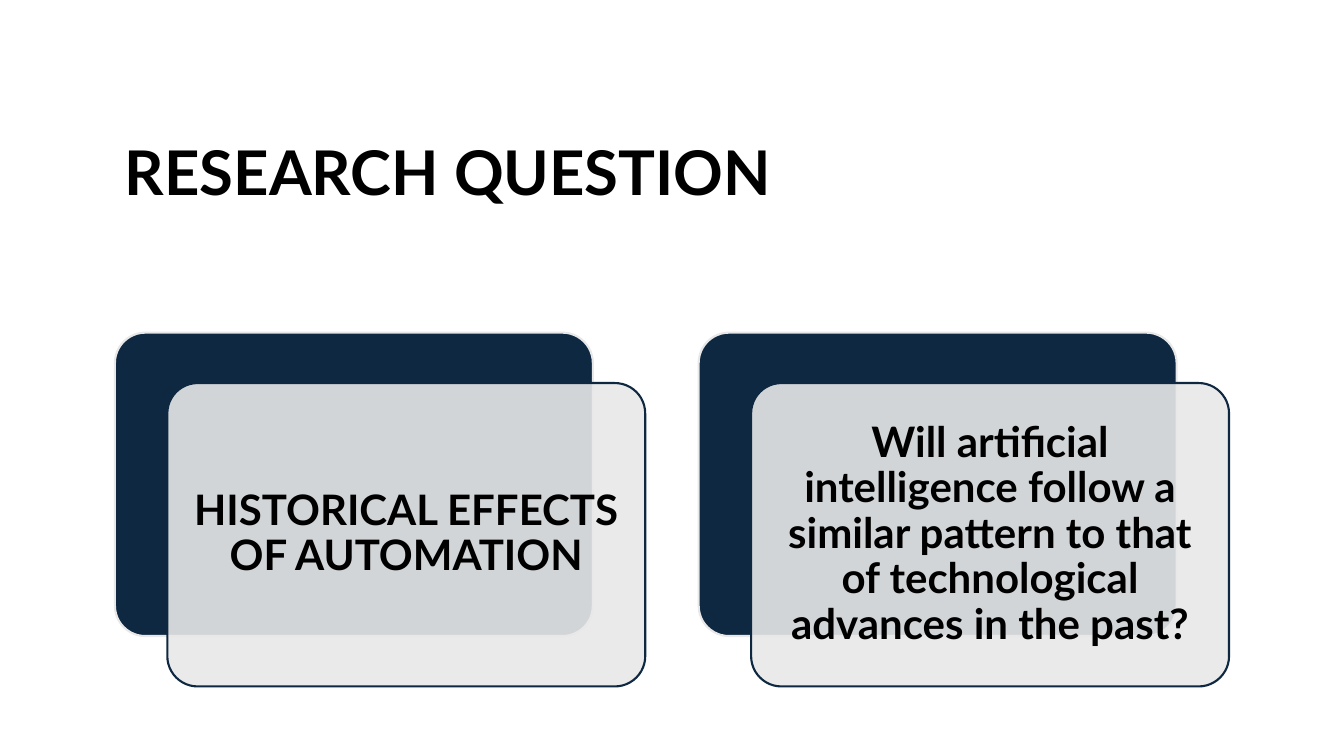
"""Build the research question slide with two layered cards."""
import dataclasses

import lxml.etree
import pptx
import pptx.dml.color
import pptx.enum.shapes
import pptx.enum.text
import pptx.oxml.ns
import pptx.shapes.autoshape
import pptx.shapes.shapetree
import pptx.util

Inches = pptx.util.Inches
Align = pptx.enum.text.PP_ALIGN


@dataclasses.dataclass(frozen=True)
class Theme:
    """Hold the colours and type sizes."""
    navy: str = "0E2841"
    pale: str = "E8E8E8"
    ink: str = "000000"
    font: str = "Lato"
    title: int = 44
    body: int = 30
    line: float = 1.5


@dataclasses.dataclass(frozen=True)
class Box:
    """Hold a frame in inches."""
    left: float
    top: float
    width: float
    height: float

    def place(self) -> tuple[int, int, int, int]:
        """Return the frame as lengths."""
        return tuple(Inches(side) for side in dataclasses.astuple(self))

    def move(self, right: float, down: float) -> "Box":
        """Return the frame shifted by an offset."""
        return Box(self.left + right, self.top + down, self.width, self.height)

    def inset(self, gap: float) -> "Box":
        """Return the frame shrunk on every side."""
        return Box(self.left + gap, self.top + gap,
                   self.width - 2 * gap, self.height - 2 * gap)


THEME = Theme()
HEAD = Box(1.14, 0.89, 11.13, 1.7)
CARD = Box(1.14, 3.3, 4.74, 3.01)
PITCH = 5.79
SHIFT = (0.52, 0.5)
GAP = 0.09
CARDS = (
    "HISTORICAL EFFECTS OF AUTOMATION",
    "Will artificial intelligence follow a similar pattern to that of "
    "technological advances in the past?",
)


def tint(code: str) -> pptx.dml.color.RGBColor:
    """Turn a hex code into a colour."""
    return pptx.dml.color.RGBColor.from_string(code)


def write(shapes: pptx.shapes.shapetree.SlideShapes, box: Box, text: str,
          size: int, align: Align, pad: tuple[float, float]) -> None:
    """Add a bold text box centred on its height."""
    frame = shapes.add_textbox(*box.place()).text_frame
    frame.word_wrap = True
    frame.vertical_anchor = pptx.enum.text.MSO_ANCHOR.MIDDLE
    frame.margin_left = frame.margin_right = Inches(pad[0])
    frame.margin_top = frame.margin_bottom = Inches(pad[1])
    frame.text = text
    para = frame.paragraphs[0]
    para.alignment = align
    para.line_spacing = 0.9
    font = para.runs[0].font
    font.name = THEME.font
    font.size = pptx.util.Pt(size)
    font.bold = True
    font.color.rgb = tint(THEME.ink)


def panel(shapes: pptx.shapes.shapetree.GroupShapes, box: Box, fill: str,
          edge: str, alpha: int = 100) -> pptx.shapes.autoshape.Shape:
    """Add a rounded panel with an opacity in percent."""
    kind = pptx.enum.shapes.MSO_SHAPE.ROUNDED_RECTANGLE
    shape = shapes.add_shape(kind, *box.place())
    shape.adjustments[0] = 0.1
    shape.shadow.inherit = False
    shape.fill.solid()
    shape.fill.fore_color.rgb = tint(fill)
    shape.line.color.rgb = tint(edge)
    shape.line.width = pptx.util.Pt(THEME.line)
    if alpha < 100:
        qn = pptx.oxml.ns.qn
        color = shape.element.spPr.find(f"{qn('a:solidFill')}/{qn('a:srgbClr')}")
        lxml.etree.SubElement(color, qn("a:alpha"), val=str(alpha * 1000))
    return shape


def main() -> None:
    """Draw the slide and save it."""
    deck = pptx.Presentation()
    deck.slide_width = Inches(13.33)
    deck.slide_height = Inches(7.5)
    slide = deck.slides.add_slide(deck.slide_layouts[6])
    write(slide.shapes, HEAD, "RESEARCH QUESTION", THEME.title,
          Align.LEFT, (0.1, 0.05))
    group = slide.shapes.add_group_shape().shapes
    for index, text in enumerate(CARDS):
        back = CARD.move(index * PITCH, 0)
        front = back.move(*SHIFT)
        panel(group, back, THEME.navy, THEME.pale)
        panel(group, front, THEME.pale, THEME.navy, 90)
        write(group, front.inset(GAP), text, THEME.body,
              Align.CENTER, (0.12, 0.12))
    deck.save("out.pptx")


if __name__ == "__main__":
    main()
